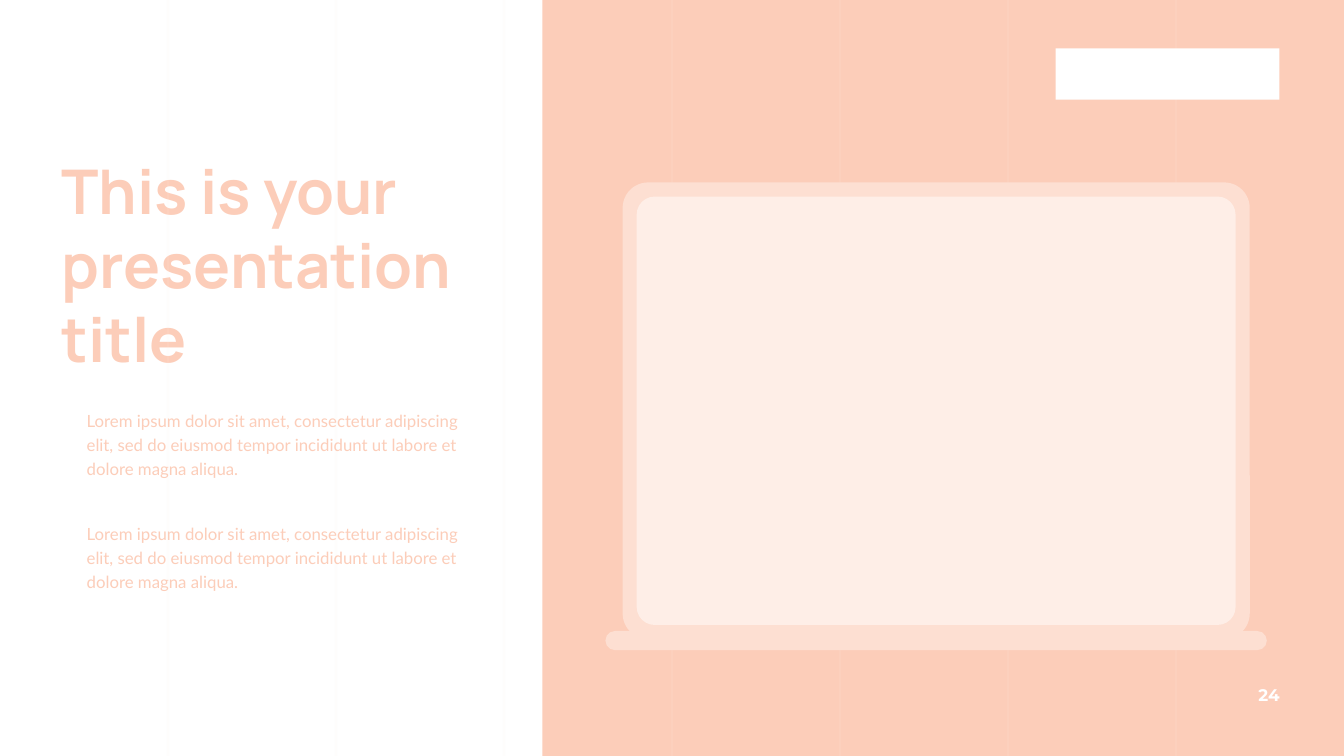
import pptx
import pptx.dml.color
import pptx.enum.shapes
import pptx.enum.text
import pptx.oxml
import pptx.oxml.ns
import pptx.util
from pptx.util import Inches

COLORS = {
    "peach": "FCCDB9",
    "light_peach": "FDDFD2",
    "pale_peach": "FEEEE7",
    "white": "FFFFFF",
}
SHAPES = pptx.enum.shapes.MSO_SHAPE
ALIGN = pptx.enum.text.PP_ALIGN
ANCHOR = pptx.enum.text.MSO_ANCHOR
SLIDE_WIDTH, SLIDE_HEIGHT = 13.33, 7.5
LAPTOP_CENTER = 9.285
BODY = ("Lorem ipsum dolor sit amet, consectetur adipiscing elit, sed do "
        "eiusmod tempor incididunt ut labore et dolore magna aliqua.")


def rgb(color):
    return pptx.dml.color.RGBColor.from_string(COLORS[color])


def add_block(slide, kind, left, top, width, height, color, rounding=None):
    shape = slide.shapes.add_shape(
        kind, Inches(left), Inches(top), Inches(width), Inches(height))
    shape.shadow.inherit = False
    shape.fill.solid()
    shape.fill.fore_color.rgb = rgb(color)
    shape.line.fill.background()
    if rounding is not None:
        shape.adjustments[0] = rounding


def add_laptop_part(slide, top, width, height, color, rounding):
    """Add a rounded rectangle centred on the laptop's vertical axis."""
    add_block(slide, SHAPES.ROUNDED_RECTANGLE, LAPTOP_CENTER - width / 2, top,
              width, height, color, rounding)


def add_guide(slide, x):
    """Add a faint vertical line over the full slide height."""
    guide = slide.shapes.add_connector(
        pptx.enum.shapes.MSO_CONNECTOR.STRAIGHT,
        Inches(x), Inches(0), Inches(x), Inches(SLIDE_HEIGHT))
    guide.line.width = pptx.util.Pt(1.5)
    guide.line.color.rgb = rgb("pale_peach")
    properties = guide._element.spPr
    color = properties.find(".//" + pptx.oxml.ns.qn("a:srgbClr"))
    color.append(pptx.oxml.parse_xml(
        f'<a:alpha {pptx.oxml.ns.nsdecls("a")} val="10000"/>'))
    properties.append(pptx.oxml.parse_xml(
        f'<a:effectLst {pptx.oxml.ns.nsdecls("a")}/>'))


def write_text(shape, paragraphs, font, size, color, bold=False,
               align=ALIGN.LEFT, anchor=ANCHOR.TOP, line_spacing=None, gap=0):
    """Fill a shape with paragraphs, with gap points between them."""
    frame = shape.text_frame
    frame.word_wrap = True
    frame.auto_size = pptx.enum.text.MSO_AUTO_SIZE.NONE
    frame.vertical_anchor = anchor
    for index, text in enumerate(paragraphs):
        paragraph = frame.add_paragraph() if index else frame.paragraphs[0]
        paragraph.alignment = align
        if line_spacing:
            paragraph.line_spacing = line_spacing
        if index and gap:
            paragraph.space_before = pptx.util.Pt(gap)
        run = paragraph.add_run()
        run.text = text
        run.font.name = font
        run.font.size = pptx.util.Pt(size)
        run.font.bold = bold
        run.font.color.rgb = rgb(color)


def add_title(slide, left, top, width, height, paragraphs):
    title = slide.shapes.title
    title.left, title.top = Inches(left), Inches(top)
    title.width, title.height = Inches(width), Inches(height)
    write_text(title, paragraphs, "Manrope", 44, "peach", bold=True)


def add_text_box(slide, left, top, width, height, paragraphs, margin=None,
                 **style):
    box = slide.shapes.add_textbox(
        Inches(left), Inches(top), Inches(width), Inches(height))
    if margin is not None:
        frame = box.text_frame
        frame.margin_left = frame.margin_right = Inches(margin)
        frame.margin_top = frame.margin_bottom = Inches(margin)
    write_text(box, paragraphs, **style)


def main():
    presentation = pptx.Presentation()
    presentation.slide_width = Inches(SLIDE_WIDTH)
    presentation.slide_height = Inches(SLIDE_HEIGHT)
    slide = presentation.slides.add_slide(presentation.slide_layouts[5])

    add_block(slide, SHAPES.RECTANGLE, 5.38, 0, SLIDE_WIDTH - 5.38,
              SLIDE_HEIGHT, "peach")
    for column in range(1, 8):
        add_guide(slide, column * SLIDE_WIDTH / 8)

    add_laptop_part(slide, 1.81, 6.22, 4.53, "light_peach", 0.056)
    add_laptop_part(slide, 1.95, 5.94, 4.25, "pale_peach", 0.042)
    add_laptop_part(slide, 6.26, 6.56, 0.19, "light_peach", 0.5)
    add_block(slide, SHAPES.RECTANGLE, 10.47, 0.48, 2.22, 0.51, "white")

    add_title(slide, 0.51, 1.47, 4.45, 2.32,
              ["This is your presentation", "title"])
    add_text_box(slide, 0.86, 4.03, 3.83, 1.85, [BODY, BODY], margin=0,
                 font="Lato", size=12, color="peach", line_spacing=1.2, gap=29)
    add_text_box(slide, 12.34, 6.69, 0.45, 0.4, ["24"], font="Montserrat",
                 size=12, color="white", bold=True, align=ALIGN.RIGHT,
                 anchor=ANCHOR.MIDDLE)
    presentation.save("out.pptx")


if __name__ == "__main__":
    main()
